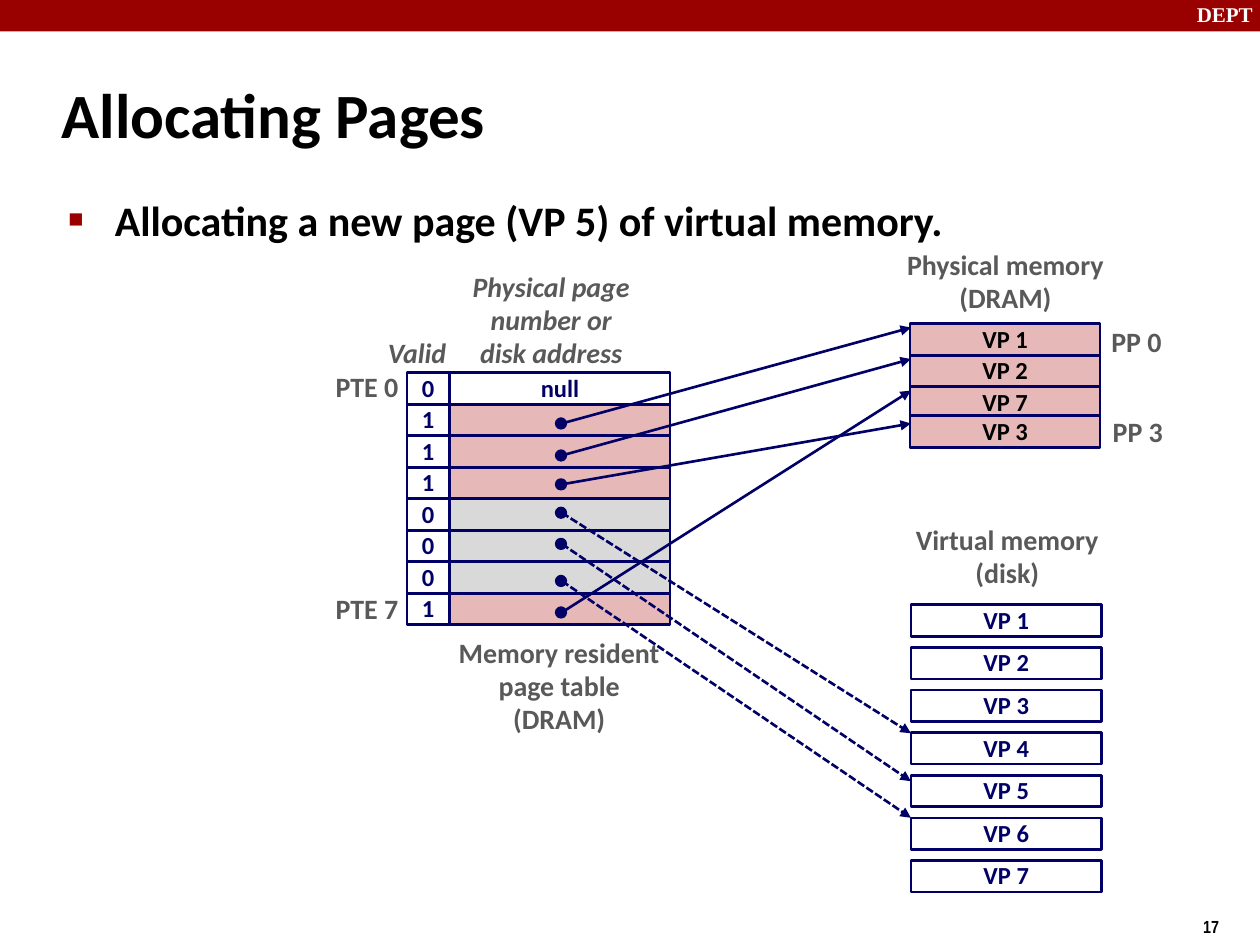
from dataclasses import dataclass

from lxml import etree
from pptx import Presentation
from pptx.dml.color import RGBColor
from pptx.enum import dml, shapes, text
from pptx.oxml import ns
from pptx.util import Pt

CENTER, LEFT, RIGHT = text.PP_ALIGN.CENTER, text.PP_ALIGN.LEFT, text.PP_ALIGN.RIGHT
TOP, MIDDLE = text.MSO_ANCHOR.TOP, text.MSO_ANCHOR.MIDDLE


@dataclass(frozen=True)
class Theme:
    accent: str = "990000"
    navy: str = "000066"
    resident: str = "E6B9B8"
    on_disk: str = "D9D9D9"
    label: str = "595959"
    black: str = "000000"
    white: str = "FFFFFF"
    font: str = "Calibri"
    brand_font: str = "Times New Roman"
    number_font: str = "Arial Narrow"
    title_size: float = 36
    body_size: float = 24
    label_size: float = 16
    cell_size: float = 14
    brand_size: float = 12
    number_size: float = 10
    line_width: float = 1.5
    line_spacing: float = 0.98


class SlideBuilder:
    def __init__(self, slide, theme):
        self.slide = slide
        self.theme = theme

    def style_text(self, frame, content, size, color, align=CENTER, anchor=MIDDLE,
                   font=None, italic=None, wrap=False, spacing=None):
        frame.text = content
        frame.word_wrap = wrap
        frame.auto_size = text.MSO_AUTO_SIZE.NONE
        frame.vertical_anchor = anchor
        for paragraph in frame.paragraphs:
            paragraph.alignment = align
            paragraph.line_spacing = spacing
            for run in paragraph.runs:
                run.font.name = font or self.theme.font
                run.font.size = Pt(size)
                run.font.bold = True
                run.font.italic = italic
                run.font.color.rgb = RGBColor.from_string(color)

    def place(self, shape, left, top, width, height):
        shape.left, shape.top = Pt(left), Pt(top)
        shape.width, shape.height = Pt(width), Pt(height)

    def title(self, content, *box):
        shape = self.slide.shapes.title
        self.place(shape, *box)
        self.style_text(shape.text_frame, content, self.theme.title_size,
                        self.theme.black, LEFT, wrap=True)

    def bullet(self, content, *box):
        shape = self.slide.placeholders[1]
        self.place(shape, *box)
        self.style_text(shape.text_frame, content, self.theme.body_size,
                        self.theme.black, LEFT, TOP, wrap=True)
        paragraph = shape.text_frame.paragraphs[0]
        paragraph.space_before = Pt(4.8)
        properties = paragraph._p.get_or_add_pPr()
        properties.set("marL", str(Pt(27.4)))
        properties.set("indent", str(Pt(-26.6)))
        color = etree.SubElement(properties, ns.qn("a:buClr"))
        etree.SubElement(color, ns.qn("a:srgbClr"), val=self.theme.accent)
        etree.SubElement(properties, ns.qn("a:buSzPct"), val="60000")
        etree.SubElement(properties, ns.qn("a:buFont"), typeface="Arial")
        etree.SubElement(properties, ns.qn("a:buChar"), char="■")

    def label(self, content, left, top, width, height, **style):
        shape = self.slide.shapes.add_textbox(Pt(left), Pt(top), Pt(width), Pt(height))
        defaults = {"size": self.theme.label_size, "color": self.theme.label,
                    "spacing": self.theme.line_spacing}
        self.style_text(shape.text_frame, content, **{**defaults, **style})

    def shape(self, kind, left, top, width, height, fill=None, line=None, line_width=None):
        shape = self.slide.shapes.add_shape(kind, Pt(left), Pt(top), Pt(width), Pt(height))
        shape.shadow.inherit = False
        if fill:
            shape.fill.solid()
            shape.fill.fore_color.rgb = RGBColor.from_string(fill)
        else:
            shape.fill.background()
        if line:
            shape.line.color.rgb = RGBColor.from_string(line)
            shape.line.width = Pt(line_width or self.theme.line_width)
        else:
            shape.line.fill.background()
        return shape

    def cell(self, left, top, width, fill=None, content="", color=None):
        shape = self.shape(shapes.MSO_SHAPE.RECTANGLE, left, top, width, 18,
                           fill, self.theme.navy)
        if content:
            self.style_text(shape.text_frame, content, self.theme.cell_size,
                            color or self.theme.navy, spacing=self.theme.line_spacing)

    def dot(self, x, y):
        self.shape(shapes.MSO_SHAPE.OVAL, x - 3, y - 3, 6, 6,
                   self.theme.navy, self.theme.navy, 1)

    def arrow(self, x1, y1, x2, y2, dashed):
        connector = self.slide.shapes.add_connector(
            shapes.MSO_CONNECTOR.STRAIGHT, Pt(x1), Pt(y1), Pt(x2), Pt(y2))
        connector.line.color.rgb = RGBColor.from_string(self.theme.navy)
        connector.line.width = Pt(self.theme.line_width)
        if dashed:
            connector.line.dash_style = dml.MSO_LINE.SQUARE_DOT
        properties = connector._element.spPr
        etree.SubElement(properties.find(ns.qn("a:ln")), ns.qn("a:tailEnd"), type="triangle")
        etree.SubElement(properties, ns.qn("a:effectLst"))


def draw_page_table(builder):
    theme = builder.theme
    valid_bits = "01110001"
    pointers = [(242, 187.2), (260.3, 205.2), (276.8, 242), (293, 419),
                (310.8, 446.4), (332, 467.3), (350, 223.2)]
    for row, valid in enumerate(valid_bits):
        top = 213 + 18 * row
        builder.cell(232.6, top, 24, content=valid)
        if row == 0:
            builder.cell(257, top, 126, theme.white, "null")
        else:
            builder.cell(257, top, 126, theme.resident if valid == "1" else theme.on_disk)
    builder.label("Valid", 214.6, 189.4, 54, 26.6, align=LEFT, anchor=TOP, italic=True)
    builder.label("Physical page\nnumber or\ndisk address", 262.8, 151.2, 104.4, 64, italic=True)
    builder.label("PTE 0", 185, 208, 49.7, 26.6, align=RIGHT)
    builder.label("PTE 7", 185, 334.8, 49.7, 26.6, align=RIGHT)
    builder.label("Memory resident\npage table\n(DRAM)", 255, 360.7, 129, 64, anchor=TOP)
    for valid, (start, end) in zip(valid_bits[1:], pointers):
        builder.arrow(321, start, 520.5, end, dashed=valid == "0")
        builder.dot(320.6, start)


def draw_memories(builder):
    theme = builder.theme
    builder.label("Physical memory\n(DRAM)", 511.2, 139, 126.7, 45.4, anchor=TOP)
    for top, page in zip((185, 203, 221, 237.6), (1, 2, 7, 3)):
        builder.cell(520, top, 108.7, theme.resident, f"VP {page}", theme.black)
    builder.label("PP 0", 627.8, 182.2, 43.2, 26.6)
    builder.label("PP 3", 628.6, 234, 43.2, 26.6)
    builder.label("Virtual memory\n(disk)", 516.2, 296, 118.8, 45.4, anchor=TOP)
    for index in range(7):
        builder.cell(520.6, 345.6 + 24.36 * index, 108.7, theme.white, f"VP {index + 1}")


def main():
    presentation = Presentation()
    presentation.slide_width, presentation.slide_height = Pt(720), Pt(540)
    theme = Theme()
    slide = presentation.slides.add_slide(presentation.slide_layouts[1])
    builder = SlideBuilder(slide, theme)
    builder.shape(shapes.MSO_SHAPE.RECTANGLE, 0, 0, 720, 18, theme.accent)
    builder.label("DEPT", 676.8, -2, 48, 21.6, size=theme.brand_size, color=theme.white,
                  font=theme.brand_font, align=LEFT, anchor=TOP)
    builder.label("17", 680.4, 520.6, 36, 19, size=theme.number_size, color=theme.black,
                  font=theme.number_font, align=LEFT, anchor=TOP)
    builder.title("Allocating Pages", 28, 34.6, 597.6, 59.8)
    builder.bullet("Allocating a new page (VP 5) of virtual memory.", 31, 107.3, 621.4, 391.7)
    draw_page_table(builder)
    draw_memories(builder)
    presentation.save("out.pptx")


if __name__ == "__main__":
    main()
